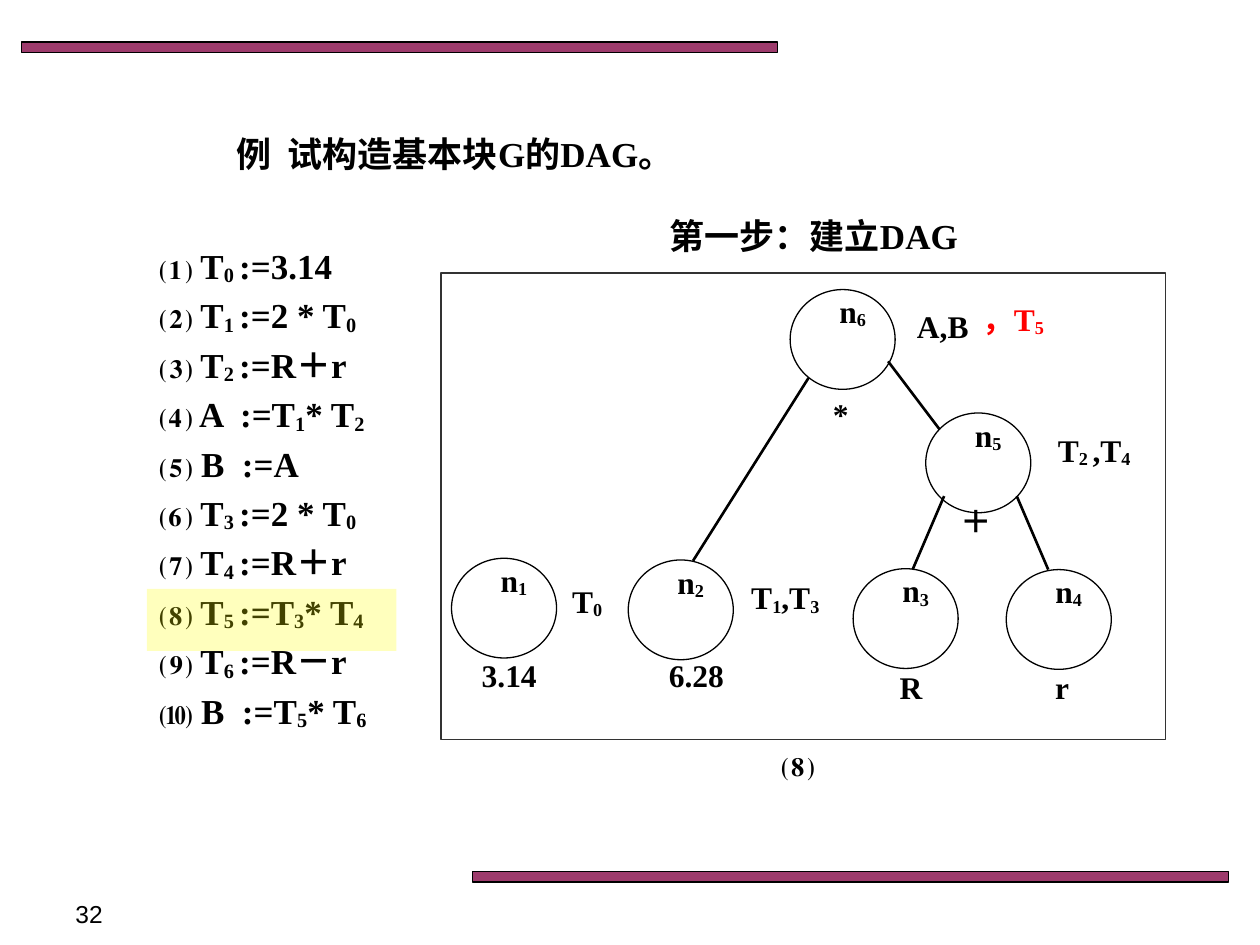
from lxml.etree import SubElement
from pptx import Presentation
from pptx.dml.color import RGBColor
from pptx.enum.shapes import MSO_CONNECTOR as Connector, MSO_SHAPE as Shape
from pptx.enum.text import MSO_ANCHOR as Anchor, MSO_AUTO_SIZE as AutoSize, PP_ALIGN as Align
from pptx.oxml.ns import qn
from pptx.util import Pt

# Content: braces enclose subscripts
TITLE = "例  试构造基本块G的DAG。"
STATEMENTS = [
    "⑴ T{0 }:=3.14",
    "⑵ T{1 }:=2 * T{0}",
    "⑶ T{2 }:=R＋r",
    "⑷ A  :=T{1}* T{2}",
    "⑸ B  :=A",
    "⑹ T{3 }:=2 * T{0}",
    "⑺ T{4 }:=R＋r",
    "⑻ T{5 }:=T{3}* T{4}",
    "⑼ T{6 }:=R－r",
    "⑽ B  :=T{5}* T{6}",
]
# Node number: left, top of its circle
NODES = {1: (258, 319), 2: (359, 320), 3: (487.5, 325),
         4: (575, 325.5), 5: (529, 236), 6: (451.5, 165.5)}
# Start x, y, end x, y
EDGES = [(539.5, 283.5, 521.5, 325.5), (599, 325.5, 581, 283.5),
         (462, 216, 396, 320.5), (507.5, 206.5, 537, 245.5)]
# Text, left, top, width, colour
LABELS = [
    ("T{0}", 314.5, 329, 42, "000000"),
    ("3.14", 258, 371.5, 66, "000000"),
    ("T{1},T{3}", 412, 327, 73.5, "000000"),
    ("6.28", 365, 371.5, 66, "000000"),
    ("R", 496, 378, 49, "000000"),
    ("r", 574, 378, 66, "000000"),
    ("＋", 537, 283.5, 42, "000000"),
    ("T{2 },T{4}", 584.5, 242.5, 81.5, "000000"),
    ("*", 459.5, 222, 42, "000000"),
    ("，T{5}", 546, 168, 66, "FF0000"),
    ("A,B", 510, 172, 57.5, "000000"),
]
BARS = [(12.25, 24), (270, 498)]
NODE_SIZE = (60, 57)


def color(value):
    return RGBColor.from_string(value)


def apply(target, values):
    for name, value in values.items():
        setattr(target, name, value)


def place(shape, left, top, width, height):
    apply(shape, {"left": Pt(left), "top": Pt(top),
                  "width": Pt(width), "height": Pt(height)})


def write(shape, lines, size=18, ink="000000", align=Align.CENTER,
          font="Times New Roman", bold=True, gap=0):
    frame = shape.text_frame
    apply(frame, {"word_wrap": True, "auto_size": AutoSize.NONE,
                  "vertical_anchor": Anchor.TOP})
    for index, line in enumerate(lines):
        paragraph = frame.add_paragraph() if index else frame.paragraphs[0]
        apply(paragraph, {"alignment": align, "space_before": Pt(gap), "line_spacing": 1.0})
        for position, piece in enumerate(line.replace("}", "{").split("{")):
            if not piece:
                continue
            run = paragraph.add_run()
            run.text = piece
            apply(run.font, {"name": font, "size": Pt(size), "bold": bold})
            run.font.color.rgb = color(ink)
            if position % 2:
                run.font._element.set("baseline", "-10000")


def add_text(text, left, top, width, height=36, **style):
    write(slide.shapes.add_textbox(Pt(left), Pt(top), Pt(width), Pt(height)), [text], **style)


def add_outline(kind, left, top, width, height, fill=None, alpha=100, line=None):
    shape = slide.shapes.add_shape(kind, Pt(left), Pt(top), Pt(width), Pt(height))
    shape.shadow.inherit = False
    if fill:
        shape.fill.solid()
        shape.fill.fore_color.rgb = color(fill)
        tint = shape._element.spPr.find(qn("a:solidFill"))[0]
        SubElement(tint, qn("a:alpha")).set("val", str(alpha * 1000))
    else:
        shape.fill.background()
    if line:
        shape.line.color.rgb = color(line)
        shape.line.width = Pt(0.75)
    else:
        shape.line.fill.background()


presentation = Presentation()
apply(presentation, {"slide_width": Pt(720), "slide_height": Pt(540)})
slide = presentation.slides.add_slide(presentation.slide_layouts[1])

# Title and statement list
title, body = slide.placeholders
place(title, 78, 72, 364, 31)
write(title, [TITLE], size=20)
place(body, 84, 136, 174, 293)
write(body, STATEMENTS, size=20, align=Align.LEFT, gap=4)
for paragraph in body.text_frame.paragraphs:
    properties = paragraph._p.get_or_add_pPr()
    properties.set("marL", "0")
    properties.set("indent", "0")
    SubElement(properties, qn("a:buNone"))

# Decorative bars and slide number
for left, top in BARS:
    add_outline(Shape.RECTANGLE, left, top, 432, 6, fill="993366", alpha=96, line="000000")
add_text("32", 36, 510, 168, 19.5, size=14, align=Align.LEFT, font="Arial", bold=False)

# Diagram frame, heading and caption
add_outline(Shape.RECTANGLE, 252, 156, 414, 266.5, line="333333")
add_text("第一步：建立DAG", 270, 119, 390, 31, size=20)
add_text("⑻", 432, 420, 48, 31, size=20)

# Graph
for number, (left, top) in NODES.items():
    add_outline(Shape.OVAL, left, top, *NODE_SIZE, line="000000")
    add_text(f"n{{{number}}}", left + 8, top - 2, 55.5)
for edge in EDGES:
    connector = slide.shapes.add_connector(Connector.STRAIGHT, *map(Pt, edge))
    connector.line.color.rgb = color("000000")
    connector.line.width = Pt(1.5)
    SubElement(connector._element.spPr, qn("a:effectLst"))
for text, left, top, width, ink in LABELS:
    add_text(text, left, top, width, ink=ink)

# Highlight over the current statement
add_outline(Shape.RECTANGLE, 84, 336.5, 142.5, 35.5, fill="FFFF00", alpha=26)

presentation.save("out.pptx")
